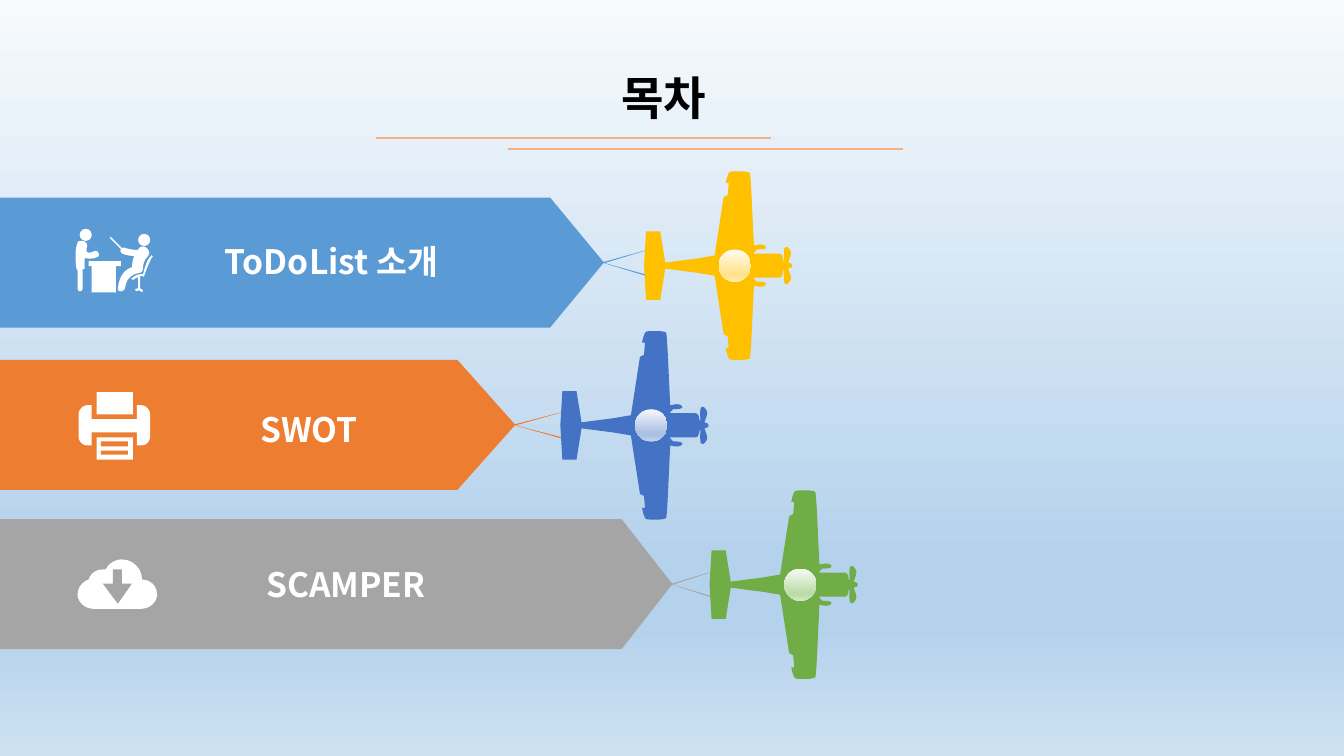
from pptx import Presentation
from pptx import util as u
from pptx.dml.color import RGBColor
from pptx.enum import shapes, text
from pptx.oxml.ns import qn
from lxml import etree

FACE = "Noto Sans CJK KR"
WHITE = "FFFFFF"

WING = [(0, -1), (2, -34), (16, -34), (21, -3), (52, -7), (70, -10),
        (79, -68), (83, -70), (84, -82), (81, -82),
        (81, -82, 83, -92, 85, -93), (87, -94, 104, -94, 105, -92),
        (106, -91, 108, -41, 109, -20), (115, -21), (118, -21, 121, -20, 121, -18),
        (121, -17, 118, -16, 115, -16), (112, -16), (109, -13), (109, -12),
        (134, -12), (137, -12, 138, -8, 138, -5), (139, -5),
        (139, -9, 138, -17, 140, -18), (142, -19, 143, -18, 145, -15),
        (147, -12, 144, -6, 143, -3), (146, -2), (147, -1)]

DESK = [(120, 63), (88, 63), (88, 68), (91, 68), (91, 94), (115, 94),
        (115, 68), (120, 68)]
CHAIR = [(150, 57), (150, 58), (146, 60, 143, 72, 142, 76), (140, 76),
         (135, 76, 131, 80, 131, 80), (130, 80), (132, 82),
         (132, 82, 134, 80, 137, 79), (137, 90), (134, 91), (135, 93),
         (138, 92), (141, 94), (142, 92), (139, 90), (139, 78), (142, 78),
         (143, 79), (143, 78), (145, 72, 149, 62, 151, 59), (152, 59)]
HOST = [(94, 53), (90, 55, 88, 55, 86, 54), (86, 53, 86, 51, 86, 50),
        (88, 47, 85, 43, 82, 43), (80, 43, 78, 43, 77, 44), (77, 45),
        (75, 49, 75, 57, 75, 57), (75, 69, 76, 72, 77, 72), (77, 90),
        (77, 94, 82, 94, 82, 90), (82, 71), (84, 71), (84, 60),
        (88, 61, 92, 61, 97, 59), (100, 57, 97, 52, 94, 53)]
GUEST = [(142, 70), (142, 66, 143, 62, 147, 58), (151, 53, 143, 45, 138, 50),
         (137, 52), (132, 52, 128, 51, 124, 50), (123, 49, 122, 50, 121, 50),
         (110, 39), (109, 40), (120, 51), (119, 53, 120, 55, 122, 56),
         (126, 57, 129, 58, 133, 58), (132, 62, 131, 65, 131, 69),
         (122, 72, 118, 80, 117, 90), (116, 94, 123, 94, 124, 90),
         (125, 82, 129, 77, 137, 75), (140, 75, 142, 73, 142, 70)]
PRESS = [(140, 45), (136, 45), (136, 59), (91, 59), (91, 45), (87, 45),
         (82, 45, 78, 50, 78, 54), (78, 76), (78, 81, 82, 85, 87, 85),
         (91, 85), (91, 72), (136, 72), (136, 85), (140, 85),
         (145, 85, 149, 81, 149, 76), (149, 54), (149, 50, 145, 45, 140, 45)]
CLOUD = [(141, 60), (141, 49, 132, 40, 121, 40), (114, 40, 108, 44, 105, 50),
         (104, 50, 103, 50, 102, 50), (95, 50, 90, 54, 88, 60),
         (82, 62, 77, 68, 77, 75), (77, 82, 84, 89, 92, 89), (141, 89),
         (149, 89, 156, 82, 156, 75), (156, 66, 149, 60, 141, 60)]
ARROW = [(117, 84), (102, 64), (112, 64), (112, 50), (121, 50), (121, 64),
         (131, 64)]


def span(*nums):
    return [u.Pt(0.72 * n) for n in nums]


def tint(hue):
    return RGBColor.from_string(hue)


def blend(fill, root, hues):
    fill.gradient()
    fill.gradient_angle = 270
    stops = root.find(".//" + qn("a:gsLst"))
    for stop in list(stops):
        stops.remove(stop)
    for place, hue in zip((0, 74, 83, 100), hues):
        stop = etree.SubElement(stops, qn("a:gs"), pos=str(place * 1000))
        etree.SubElement(stop, qn("a:srgbClr"), val=hue)


def paint(shape, hue):
    shape.shadow.inherit = False
    shape.line.fill.background()
    if isinstance(hue, str):
        shape.fill.solid()
        shape.fill.fore_color.rgb = tint(hue)
    else:
        blend(shape.fill, shape._element, hue)


def trace(path):
    dots = [path[0]]
    for step in path[1:]:
        if len(step) == 2:
            dots.append(step)
            continue
        knots = [dots[-1], step[:2], step[2:4], step[4:]]
        for i in range(1, 7):
            t = i / 6
            parts = ((1 - t) ** 3, 3 * t * (1 - t) ** 2, 3 * t * t * (1 - t), t ** 3)
            dots.append(tuple(sum(p * k[a] for p, k in zip(parts, knots))
                              for a in (0, 1)))
    return dots


def form(group, left, top, dots, hue):
    dots = [(10 * x, 10 * y) for x, y in dots]
    pen = group.shapes.build_freeform(*dots[0], scale=u.Pt(0.072))
    pen.add_line_segments(dots[1:], close=True)
    paint(pen.convert_to_shape(*span(left, top)), hue)


def solid(group, kind, box, hue):
    paint(group.shapes.add_shape(kind, *span(*box)), hue)


def label(host, words, box, size, hue, frame, align):
    area = host.shapes.add_textbox(*span(*box)).text_frame
    for key, value in {"word_wrap": False, **frame}.items():
        setattr(area, key, value)
    para = area.paragraphs[0]
    para.alignment = align
    run = para.add_run()
    run.text = words
    for key, value in {"size": u.Pt(size), "bold": True, "name": FACE}.items():
        setattr(run.font, key, value)
    run.font.color.rgb = tint(hue)
    etree.SubElement(run.font._element, qn("a:ea"), typeface=FACE)


def rule(page, left, top):
    line = page.shapes.add_connector(shapes.MSO_CONNECTOR.STRAIGHT,
                                     *span(left, top, left + 392, top))
    line.line.color.rgb = tint("F4B183")
    line.line.width = u.Pt(1.5)
    etree.SubElement(line._element.spPr, qn("a:effectLst"))


def banner(group, top, neck, tip, end, hue):
    form(group, 0, top, [(end, 52), (end - 1, 52), (tip, 64), (neck, 0), (0, 0),
                         (0, 129), (neck, 129), (tip, 65), (end - 1, 78),
                         (end, 77), (tip + 1, 65)], hue)


def plane(group, left, axis, hue, glass):
    half = trace(WING)
    form(group, left, axis, half + [(x, -y) for x, y in reversed(half)], hue)
    solid(group, shapes.MSO_SHAPE.OVAL, (left + 74, axis - 16, 32, 32), glass)


def icon(group, top, forms, kind, boxes):
    for path, hue in forms:
        form(group, 0, top, trace(path), hue)
    for x, y, w, h, hue in boxes:
        solid(group, kind, (x, top + y, w, h), hue)


def main():
    deck = Presentation()
    deck.slide_width, deck.slide_height = u.Pt(960), u.Pt(540)
    page = deck.slides.add_slide(deck.slide_layouts[6])
    blend(page.background.fill, page.element,
          ("F7FAFD", "B5D2EC", "B5D2EC", "CEE1F2"))
    label(page, "목차", (460, 64, 397, 66), 33, "000000", {},
          text.PP_ALIGN.CENTER)
    rule(page, 373, 137)
    rule(page, 504, 148)

    oval, rect = shapes.MSO_SHAPE.OVAL, shapes.MSO_SHAPE.RECTANGLE
    blue, rust, gray = "5B9BD5", "ED7D31", "A5A5A5"
    talk = ([(path, WHITE) for path in (DESK, CHAIR, HOST, GUEST)], oval,
            [(79, 31, 12, 12, WHITE), (137, 36, 12, 12, WHITE)])
    press = ([(PRESS, WHITE)], rect,
             [(96, 32, 36, 22, WHITE), (96, 77, 36, 22, WHITE),
              (100, 81, 27, 5, rust), (100, 90, 27, 4, rust)])
    cloud = ([(CLOUD, WHITE), (ARROW, gray)], rect, [])
    rows = [
        ("ToDoList 소개", 196, (546, 599, 643, blue), (639, 263.5, "FFC000",
         ("FFFCF2", "FFE38C", "FFE38C", "FFECB2")), talk, (181, 231, 389, 48)),
        ("SWOT", 357, (454, 511, 558, rust), (556, 422, "4472C4",
         ("F6F8FC", "ABC0E4", "ABC0E4", "C7D5ED")), press, (216, 398, 181, 48)),
        ("SCAMPER", 515, (617, 667, 708, gray), (704, 580, "70AD47",
         ("F8FBF6", "BEDCAA", "BEDCAA", "D4E8C6")), cloud, (222, 551, 466, 48)),
    ]
    frame = {"vertical_anchor": text.MSO_ANCHOR.BOTTOM, "margin_left": u.Pt(30.24),
             "margin_top": 0, "margin_right": 0, "margin_bottom": 0}
    for words, top, flag, craft, sign, box in rows:
        group = page.shapes.add_group_shape()
        banner(group, top, *flag)
        plane(group, *craft)
        icon(group, top, *sign)
        label(group, words, box, 24, WHITE, frame, text.PP_ALIGN.LEFT)
    deck.save("out.pptx")


if __name__ == "__main__":
    main()
